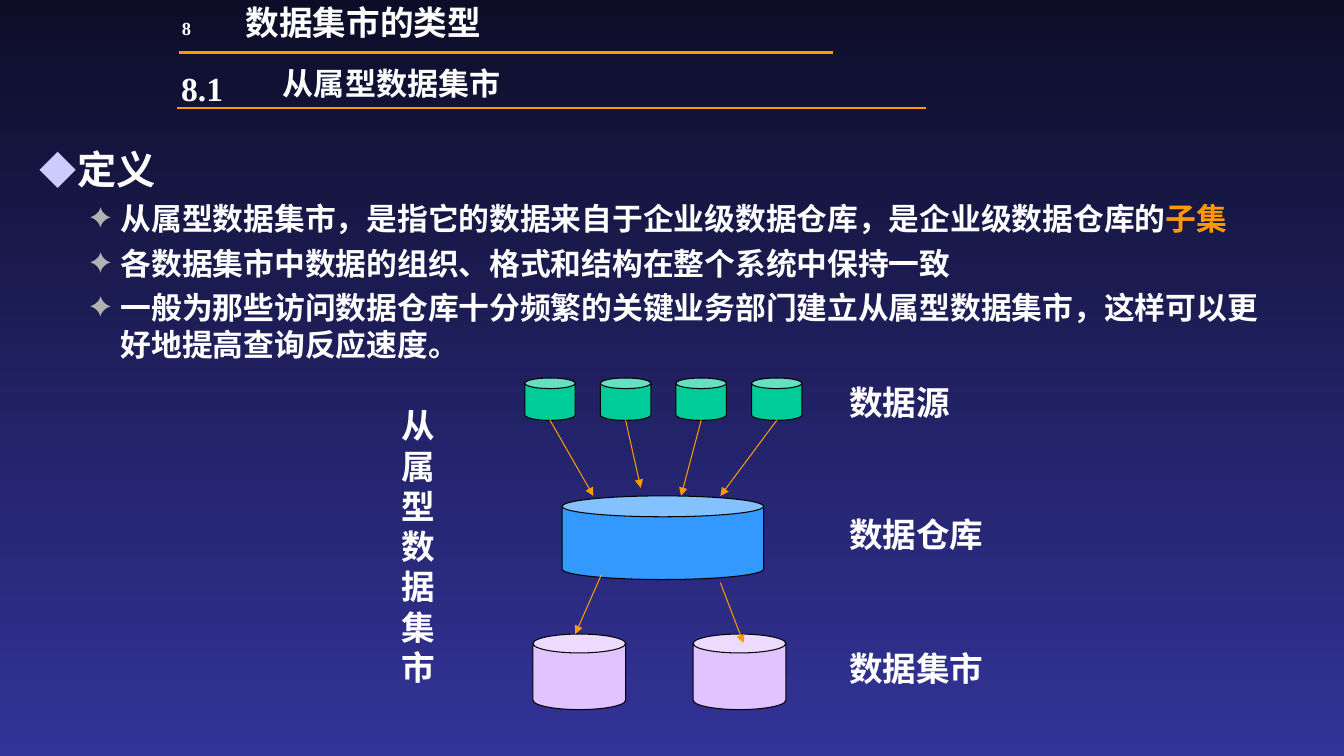
from lxml import etree
from pptx import Presentation
from pptx.dml.color import RGBColor
from pptx.enum.shapes import MSO_CONNECTOR, MSO_SHAPE
from pptx.enum.text import MSO_ANCHOR, MSO_AUTO_SIZE, PP_ALIGN
from pptx.oxml.ns import qn
from pptx.util import Inches, Pt

LINE, CAN = MSO_CONNECTOR.STRAIGHT, MSO_SHAPE.CAN
TOP, MIDDLE = MSO_ANCHOR.TOP, MSO_ANCHOR.MIDDLE
LEFT, CENTER = PP_ALIGN.LEFT, PP_ALIGN.CENTER
FIXED = MSO_AUTO_SIZE.NONE
LATIN, HAN = "Times New Roman", "Noto Sans CJK SC"
WIDTH, HEIGHT = 13.34, 7.5
HEX = {
    "night": "0D0D28", "blue": "333399", "white": "FFFFFF",
    "orange": "FF9900", "black": "000000", "source": "00CC99",
    "store": "3399FF", "mart": "E1C3FF", "gem": "CCCCFF", "star": "B2B2B2",
}
# One dict per text level: bullet, its face, colour and size, indents, text size
LEVELS = [
    {"mark": "◆", "face": HAN, "hue": "gem", "pct": 95, "left": 0.38,
     "hang": 0.38, "gap": 0, "size": 28},
    {"mark": "✦", "face": LATIN, "hue": "star", "pct": 90, "left": 0.81,
     "hang": 0.31, "gap": 5.5, "size": 22},
]
POINTS = [
    (0, [("定义", "white")]),
    (1, [("从属型数据集市，是指它的数据来自于企业级数据仓库，是企业级数据仓库的", "white"),
         ("子集", "orange")]),
    (1, [("各数据集市中数据的组织、格式和结构在整个系统中保持一致", "white")]),
    (1, [("一般为那些访问数据仓库十分频繁的关键业务部门建立从属型数据集市，"
          "这样可以更好地提高查询反应速度。", "white")]),
]


def rgb(name):
    return RGBColor.from_string(HEX[name])


def put(item, **values):
    for key, value in values.items():
        setattr(item, key, value)


def add_run(para, text, size, color="white", face=LATIN):
    run = para.add_run()
    run.text = text
    put(run.font, name=face, size=Pt(size), bold=True)
    run.font.color.rgb = rgb(color)
    etree.SubElement(run.font._element, qn("a:ea"), typeface=HAN)


def set_frame(frame, anchor=TOP):
    put(frame, word_wrap=True, auto_size=FIXED, vertical_anchor=anchor,
        margin_left=Inches(0.1), margin_right=Inches(0.1),
        margin_top=Inches(0.05), margin_bottom=Inches(0.05))


def add_label(slide, box, text, size=24, anchor=TOP, align=LEFT,
              face=LATIN, space=1.0):
    frame = slide.shapes.add_textbox(*map(Inches, box)).text_frame
    set_frame(frame, anchor)
    para = frame.paragraphs[0]
    put(para, alignment=align, line_spacing=space)
    add_run(para, text, size, face=face)


def add_line(slide, start, end, width, arrow=False):
    line = slide.shapes.add_connector(LINE, *map(Inches, start + end))
    line.line.color.rgb = rgb("orange")
    line.line.width = Pt(width)
    if arrow:
        etree.SubElement(line.line._get_or_add_ln(), qn("a:tailEnd"),
                         type="triangle")
    etree.SubElement(line._element.spPr, qn("a:effectLst"))


def add_can(slide, box, color):
    can = slide.shapes.add_shape(CAN, *map(Inches, box))
    can.shadow.inherit = False
    can.adjustments[0] = 0.25
    can.fill.solid()
    can.fill.fore_color.rgb = rgb(color)
    can.line.color.rgb = rgb("black")
    can.line.width = Pt(0.75)


def add_bullet(para, level):
    props = para._p.get_or_add_pPr()
    props.set("marL", str(Inches(level["left"])))
    props.set("indent", str(-Inches(level["hang"])))
    color = etree.SubElement(props, qn("a:buClr"))
    etree.SubElement(color, qn("a:srgbClr"), val=HEX[level["hue"]])
    etree.SubElement(props, qn("a:buSzPct"), val=str(level["pct"] * 1000))
    etree.SubElement(props, qn("a:buFont"), typeface=level["face"])
    etree.SubElement(props, qn("a:buChar"), char=level["mark"])


def paint_back(slide):
    fill = slide.background.fill
    fill.gradient()
    fill.gradient_angle = 270
    for stop, name in zip(fill.gradient_stops, ("night", "blue")):
        stop.color.rgb = rgb(name)


def add_head(slide, x, y):
    """Place the chapter and section titles with their rules."""
    title = slide.shapes.title
    put(title, left=Inches(x + 0.95), top=Inches(y),
        width=Inches(8.5), height=Inches(0.44))
    set_frame(title.text_frame, MIDDLE)
    para = title.text_frame.paragraphs[0]
    para.alignment = LEFT
    add_run(para, "数据集市的类型", 24)
    add_label(slide, (x, y + 0.11, 0.92, 0.33), "8", 13.2, MIDDLE, CENTER)
    add_line(slide, (x + 0.39, y + 0.52), (x + 6.88, y + 0.52), 2.25)
    add_label(slide, (x + 1.32, y + 0.6, 4.57, 0.5), "从属型数据集市", 22.2,
              MIDDLE, face=HAN, space=0.9)
    add_label(slide, (x + 0.31, y + 0.62, 4.04, 0.5), "8.1")
    add_line(slide, (x + 0.37, y + 1.07), (x + 7.8, y + 1.07), 1.5)


def add_points(slide, box):
    frame = slide.shapes.add_textbox(*map(Inches, box)).text_frame
    set_frame(frame)
    for i, (depth, runs) in enumerate(POINTS):
        para = frame.add_paragraph() if i else frame.paragraphs[0]
        level = LEVELS[depth]
        add_bullet(para, level)
        put(para, level=depth, space_before=Pt(level["gap"]))
        for text, color in runs:
            add_run(para, text, level["size"], color)


def add_flow(slide, x, y):
    """Draw sources feeding the warehouse, which feeds the marts."""
    store = y + 1.17
    mart = y + 2.54
    tips = [(0.68, 1.17), (1.15, 1.09), (1.55, 1.17), (1.94, 1.17)]
    for i, (dx, dy) in enumerate(tips):
        left = x + 0.75 * i
        add_can(slide, (left, y, 0.5, 0.42), "source")
        add_line(slide, (left + 0.25, y + 0.42), (x + dx, y + dy), 0.75, True)
    add_can(slide, (x + 0.37, store, 2, 0.83), "store")
    for dx in (0.08, 1.67):
        add_can(slide, (x + dx, mart, 0.92, 0.75), "mart")
    add_line(slide, (x + 0.76, y + 1.95), (x + 0.5, mart), 0.75, True)
    add_line(slide, (x + 1.94, y + 2.03), (x + 2.17, y + 2.63), 0.75, True)
    for dy, text in ((-0.01, "数据源"), (1.3, "数据仓库"), (2.63, "数据集市")):
        add_label(slide, (x + 3.12, y + dy, 1.92, 0.5), text)
    add_label(slide, (x - 1.32, y + 0.22, 0.67, 2.9), "从属型数据集市")


def main():
    deck = Presentation()
    put(deck, slide_width=Inches(WIDTH), slide_height=Inches(HEIGHT))
    slide = deck.slides.add_slide(deck.slide_layouts[5])
    paint_back(slide)
    add_head(slide, 1.39, 0)
    add_points(slide, (0.29, 1.39, 12.52, 2.68))
    add_flow(slide, 5.21, HEIGHT / 2)
    deck.save("out.pptx")


if __name__ == "__main__":
    main()
